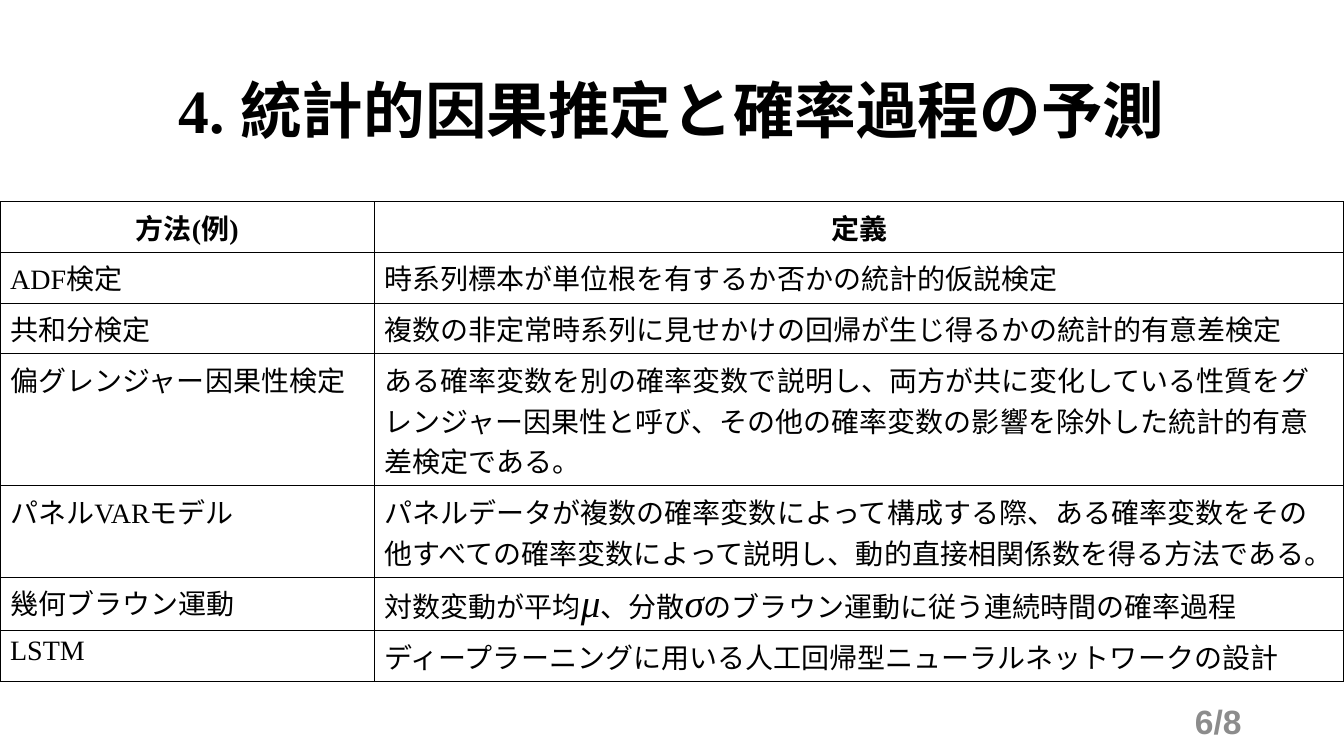
from itertools import groupby

from lxml import etree
from pptx import Presentation
from pptx.dml.color import RGBColor
from pptx.enum.text import MSO_ANCHOR, MSO_AUTO_SIZE, PP_ALIGN
from pptx.oxml.ns import qn
from pptx.util import Pt

CENTER, LEFT, RIGHT = PP_ALIGN.CENTER, PP_ALIGN.LEFT, PP_ALIGN.RIGHT
MIDDLE = MSO_ANCHOR.MIDDLE
NO_AUTOFIT = MSO_AUTO_SIZE.NONE

BLACK = RGBColor(0x00, 0x00, 0x00)
GRAY = RGBColor(0x8C, 0x8C, 0x8C)

SLIDE_WIDTH, SLIDE_HEIGHT = 960, 540
COLUMN_WIDTHS = (267.4, 692.6)
ROW_HEIGHT = 29.2
TITLE_ONLY_LAYOUT = 5

# Character formats by script
JAPANESE = {"name": "Arial", "size": Pt(20), "italic": False}
LATIN = {"name": "Times New Roman", "size": Pt(20), "italic": False}
SYMBOL = {"name": "Times New Roman", "size": Pt(28), "italic": True}

TITLE_FORMAT = {"name": "Times New Roman", "size": Pt(44), "bold": True}
PAGE_FORMAT = {"name": "Arial", "size": Pt(24), "bold": True}

METHODS = [
    ("方法(例)", "定義"),
    ("ADF検定", "時系列標本が単位根を有するか否かの統計的仮説検定"),
    ("共和分検定", "複数の非定常時系列に見せかけの回帰が生じ得るかの統計的有意差検定"),
    ("偏グレンジャー因果性検定",
     "ある確率変数を別の確率変数で説明し、両方が共に変化している性質をグレンジャー因果性と呼び、"
     "その他の確率変数の影響を除外した統計的有意差検定である。"),
    ("パネルVARモデル",
     "パネルデータが複数の確率変数によって構成する際、ある確率変数をその他すべての確率変数によって説明し、"
     "動的直接相関係数を得る方法である。"),
    ("幾何ブラウン運動", "対数変動が平均μ、分散σのブラウン運動に従う連続時間の確率過程"),
    ("LSTM", "ディープラーニングに用いる人工回帰型ニューラルネットワークの設計"),
]


def add_run(paragraph, text, color, font_format):
    run = paragraph.add_run()
    run.text = text
    run.font.color.rgb = color
    for attribute, value in font_format.items():
        setattr(run.font, attribute, value)


def format_for(character):
    if character in "μσ":
        return SYMBOL
    return LATIN if character.isascii() else JAPANESE


def add_mixed_text(paragraph, text, bold):
    for font_format, characters in groupby(text, key=format_for):
        add_run(paragraph, "".join(characters), BLACK, {**font_format, "bold": bold})


def set_borders(cell, color, width):
    properties = cell._tc.get_or_add_tcPr()
    for position, side in enumerate(("lnL", "lnR", "lnT", "lnB")):
        line = etree.Element(qn(f"a:{side}"), w=str(width))
        fill = etree.SubElement(line, qn("a:solidFill"))
        etree.SubElement(fill, qn("a:srgbClr"), val=str(color))
        properties.insert(position, line)


def fill_text_frame(shape, text, alignment, color, font_format):
    frame = shape.text_frame
    frame.word_wrap = True
    frame.auto_size = NO_AUTOFIT
    frame.vertical_anchor = MIDDLE
    paragraph = frame.paragraphs[0]
    paragraph.alignment = alignment
    add_run(paragraph, text, color, font_format)
    return paragraph


def add_title(slide, text):
    title = slide.shapes.title
    title.left, title.top, title.width, title.height = Pt(66), Pt(28.8), Pt(828), Pt(104.4)
    paragraph = fill_text_frame(title, text, CENTER, BLACK, TITLE_FORMAT)
    paragraph.line_spacing = 0.9


def add_method_table(slide):
    table = slide.shapes.add_table(
        len(METHODS), len(COLUMN_WIDTHS), Pt(0), Pt(144),
        Pt(SLIDE_WIDTH), Pt(ROW_HEIGHT * len(METHODS))).table
    table.first_row = table.horz_banding = False
    for column, width in zip(table.columns, COLUMN_WIDTHS):
        column.width = Pt(width)
    for row_index, texts in enumerate(METHODS):
        is_header = row_index == 0
        for column_index, text in enumerate(texts):
            cell = table.cell(row_index, column_index)
            cell.fill.background()
            set_borders(cell, BLACK, Pt(1))
            paragraph = cell.text_frame.paragraphs[0]
            paragraph.alignment = CENTER if is_header else LEFT
            add_mixed_text(paragraph, text, is_header)


def add_page_number(slide, text):
    box = slide.shapes.add_textbox(Pt(678), Pt(500.4), Pt(216), Pt(28.8))
    fill_text_frame(box, text, RIGHT, GRAY, PAGE_FORMAT)


def main():
    presentation = Presentation()
    presentation.slide_width = Pt(SLIDE_WIDTH)
    presentation.slide_height = Pt(SLIDE_HEIGHT)
    slide = presentation.slides.add_slide(presentation.slide_layouts[TITLE_ONLY_LAYOUT])

    add_title(slide, "4. 統計的因果推定と確率過程の予測")
    add_method_table(slide)
    add_page_number(slide, "6/8")

    presentation.save("out.pptx")


if __name__ == "__main__":
    main()
